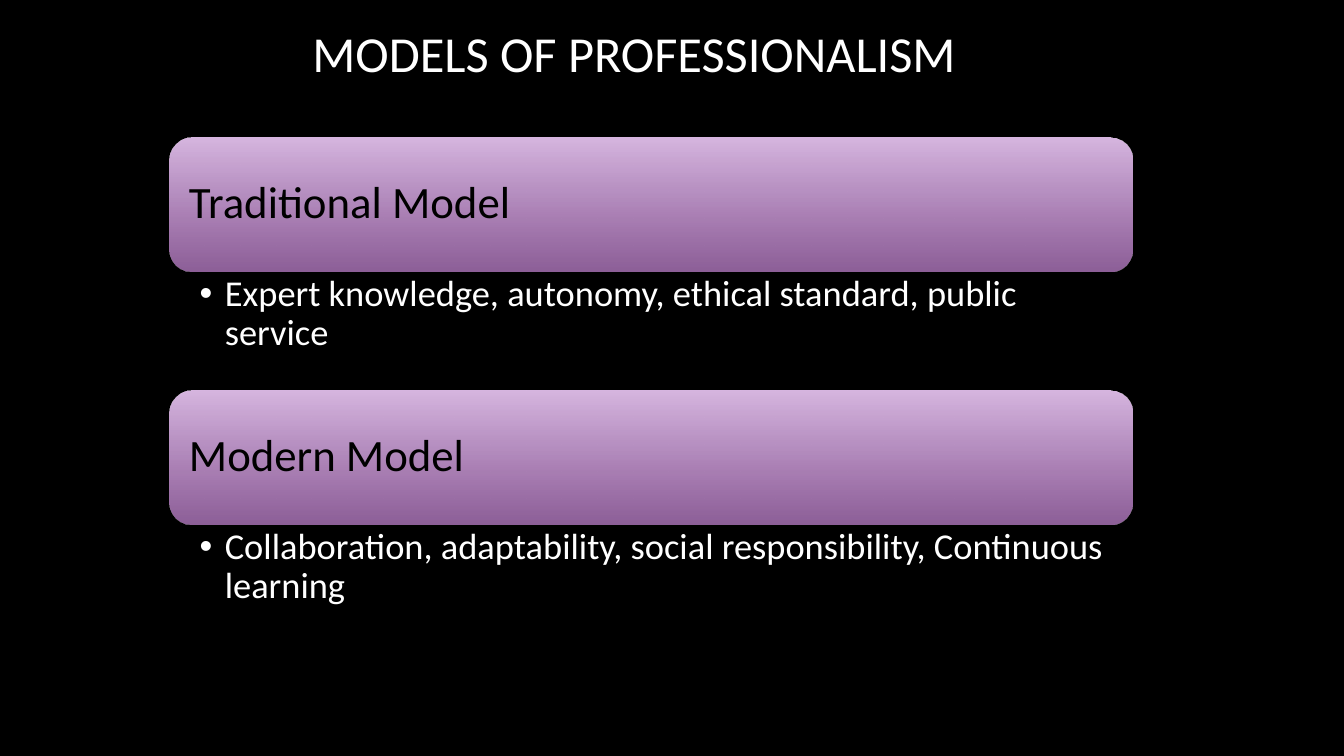
from lxml.etree import SubElement
from pptx import Presentation
from pptx.dml.color import RGBColor
from pptx.enum.shapes import MSO_SHAPE
from pptx.enum.text import MSO_ANCHOR, PP_ALIGN
from pptx.oxml.ns import qn
from pptx.util import Inches, Pt

BLACK = RGBColor(0x00, 0x00, 0x00)
WHITE = RGBColor(0xFF, 0xFF, 0xFF)
LILAC = RGBColor(0xD8, 0xB7, 0xE1)
PURPLE = RGBColor(0xBF, 0x82, 0xCE)
FONT = "Calibri"

# Each model fills one row: heading bar above, description below
LEFT, TOP, WIDTH, ROW_HEIGHT = 1.68, 1.36, 9.55, 2.51
BAR_SHARE = 0.53
MODELS = [
    ("Traditional Model",
     "Expert knowledge, autonomy, ethical standard, public service"),
    ("Modern Model",
     "Collaboration, adaptability, social responsibility, Continuous learning"),
]


def write(frame, text, size, color, margins, anchor, align=PP_ALIGN.LEFT):
    """Put one formatted run in a text frame and return its paragraph."""
    frame.word_wrap = True
    frame.vertical_anchor = anchor
    (frame.margin_left, frame.margin_top,
     frame.margin_right, frame.margin_bottom) = map(Inches, margins)
    paragraph = frame.paragraphs[0]
    paragraph.alignment = align
    paragraph.line_spacing = 0.9
    run = paragraph.add_run()
    run.text = text
    run.font.name = FONT
    run.font.size = Pt(size)
    run.font.color.rgb = color
    return paragraph


def add_title(slide, left, top, width, height):
    title = slide.shapes.title
    title.left, title.top = Inches(left), Inches(top)
    title.width, title.height = Inches(width), Inches(height)
    write(title.text_frame, "MODELS OF PROFESSIONALISM", 36, WHITE,
          (0.1, 0.05, 0.1, 0.05), MSO_ANCHOR.MIDDLE, PP_ALIGN.CENTER)


def add_model(slide, heading, description, left, top, width, height):
    bar_height = height * BAR_SHARE

    # Heading bar with a gradient that fades towards the bottom
    bar = slide.shapes.add_shape(
        MSO_SHAPE.ROUNDED_RECTANGLE, Inches(left), Inches(top),
        Inches(width), Inches(bar_height))
    bar.shadow.inherit = False
    bar.line.fill.background()
    bar.fill.gradient()
    bar.fill.gradient_angle = 270
    for stop, color in zip(bar.fill.gradient_stops, (LILAC, PURPLE)):
        stop.color.rgb = color
    end_color = list(bar.element.spPr.iter(qn("a:srgbClr")))[-1]
    SubElement(end_color, qn("a:alpha"), val="74000")
    write(bar.text_frame, heading, 32, BLACK, (0.13,) * 4, MSO_ANCHOR.MIDDLE)

    # Bulleted description
    box = slide.shapes.add_textbox(
        Inches(left), Inches(top + bar_height),
        Inches(width), Inches(height - bar_height))
    paragraph = write(box.text_frame, description, 26, WHITE,
                      (0.3, 0.04, 0.2, 0.04), MSO_ANCHOR.TOP)
    paragraph.level = 1
    properties = paragraph._p.get_or_add_pPr()
    properties.set("marL", str(Inches(0.25)))
    properties.set("indent", str(-Inches(0.25)))
    SubElement(properties, qn("a:buFont"), typeface="Arial")
    SubElement(properties, qn("a:buChar"), char="•")


def main():
    presentation = Presentation()
    presentation.slide_width = Inches(13.33)
    presentation.slide_height = Inches(7.5)
    slide = presentation.slides.add_slide(presentation.slide_layouts[5])
    slide.background.fill.solid()
    slide.background.fill.fore_color.rgb = BLACK

    add_title(slide, 0.75, 0.11, 11.08, 0.9)
    for row, (heading, description) in enumerate(MODELS):
        add_model(slide, heading, description,
                  LEFT, TOP + row * ROW_HEIGHT, WIDTH, ROW_HEIGHT)

    presentation.save("out.pptx")


if __name__ == "__main__":
    main()
